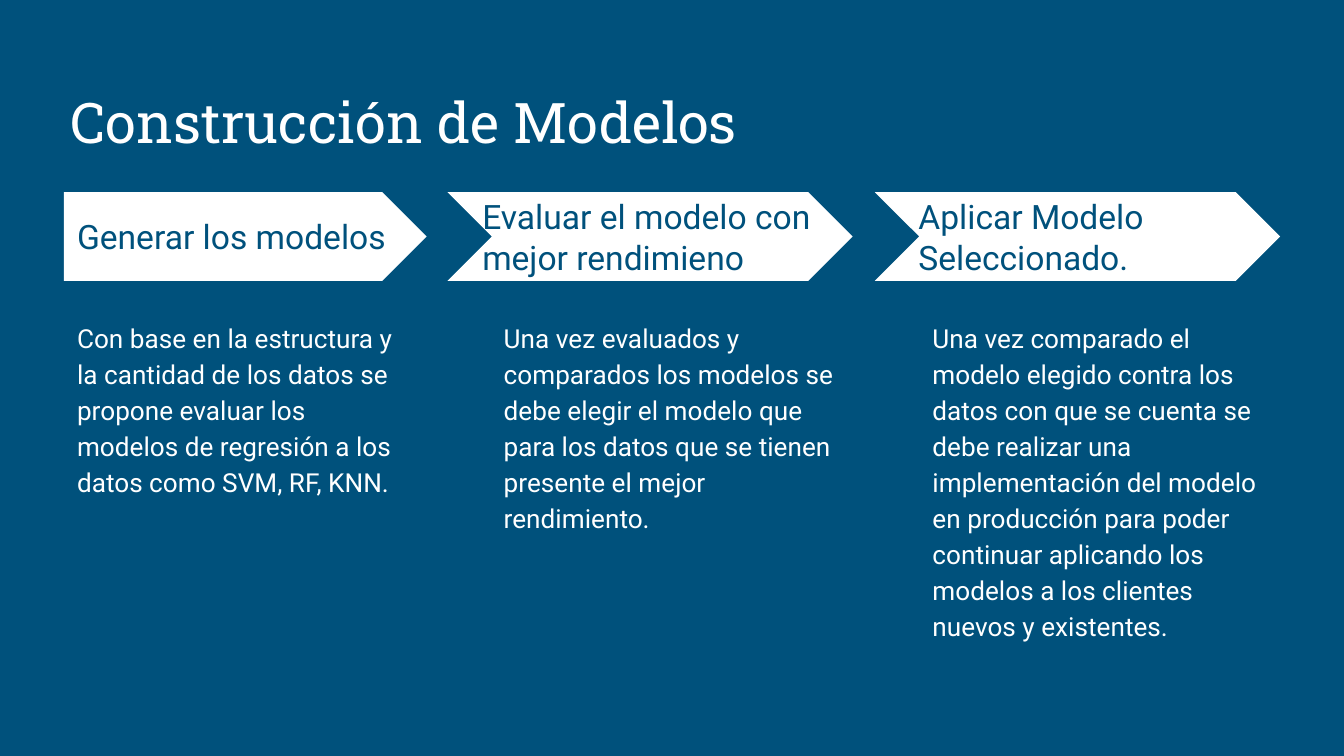
from pptx import Presentation
from pptx.dml.color import RGBColor
from pptx.enum.shapes import MSO_SHAPE
from pptx.enum.text import MSO_ANCHOR, MSO_AUTO_SIZE, PP_ALIGN
from pptx.util import Pt

PENTAGON, CHEVRON = MSO_SHAPE.PENTAGON, MSO_SHAPE.CHEVRON
TOP, MIDDLE, BOTTOM = MSO_ANCHOR.TOP, MSO_ANCHOR.MIDDLE, MSO_ANCHOR.BOTTOM
NO_FIT = MSO_AUTO_SIZE.NONE
LEFT = PP_ALIGN.LEFT

PX = 4572
COLORS = {"blue": "00517C", "white": "FFFFFF"}
HEAD_TOP, HEAD_HIGH = 286, 132
BODY_TOP, BODY_WIDE, BODY_HIGH = 453, 540, 580

STEPS = [
    {
        "kind": PENTAGON, "arrow": (95, 540), "head": (95, 540), "left": 95,
        "title": "Generar los modelos",
        "text": "Con base en la estructura y la cantidad de los datos se propone "
                "evaluar los modelos de regresión a los datos como SVM, RF, KNN.",
    },
    {
        "kind": CHEVRON, "arrow": (666, 603), "head": (698, 560), "left": 730,
        "title": "Evaluar el modelo con mejor rendimieno",
        "text": "Una vez evaluados y comparados los modelos se debe elegir el modelo "
                "que para los datos que se tienen presente el mejor rendimiento.",
    },
    {
        "kind": CHEVRON, "arrow": (1302, 603), "head": (1347, 516), "left": 1368,
        "title": "Aplicar Modelo Seleccionado.",
        "text": "Una vez comparado el modelo elegido contra los datos con que se cuenta "
                "se debe realizar una implementación del modelo en producción para poder "
                "continuar aplicando los modelos a los clientes nuevos y existentes.",
    },
]


def rgb(name):
    return RGBColor.from_string(COLORS[name])


def px(*sizes):
    return [size * PX for size in sizes]


def write(shape, text, size, color="white", font="Roboto", anchor=TOP, space=1.0, after=0):
    frame = shape.text_frame
    frame.word_wrap = True
    frame.auto_size = NO_FIT
    frame.vertical_anchor = anchor
    frame.margin_left = frame.margin_right = 20 * PX
    frame.margin_top = frame.margin_bottom = 20 * PX
    line = frame.paragraphs[0]
    line.alignment = LEFT
    line.line_spacing = space
    line.space_before = Pt(0)
    line.space_after = Pt(after)
    run = line.add_run()
    run.text = text
    run.font.size = Pt(size)
    run.font.name = font
    run.font.color.rgb = rgb(color)


def add_title(slide, text):
    title = slide.shapes.title
    title.left, title.top, title.width, title.height = px(85, 100, 1830, 150)
    write(title, text, 30, font="Roboto Slab", anchor=BOTTOM)


def add_arrow(slide, kind, left, wide):
    arrow = slide.shapes.add_shape(kind, *px(left, HEAD_TOP, wide, HEAD_HIGH))
    arrow.adjustments[0] = 0.5
    arrow.shadow.inherit = False
    arrow.fill.solid()
    arrow.fill.fore_color.rgb = rgb("white")
    arrow.line.fill.background()


def add_text(slide, box, text, size, **style):
    write(slide.shapes.add_textbox(*px(*box)), text, size, **style)


def add_step(slide, step):
    add_arrow(slide, step["kind"], *step["arrow"])
    left, wide = step["head"]
    add_text(slide, (left, HEAD_TOP, wide, HEAD_HIGH), step["title"], 18,
             color="blue", anchor=MIDDLE)
    add_text(slide, (step["left"], BODY_TOP, BODY_WIDE, BODY_HIGH), step["text"], 14,
             space=1.15, after=8)


def main():
    deck = Presentation()
    deck.slide_width, deck.slide_height = px(2000, 1125)
    slide = deck.slides.add_slide(deck.slide_layouts[5])
    slide.background.fill.solid()
    slide.background.fill.fore_color.rgb = rgb("blue")
    add_title(slide, "Construcción de Modelos")
    for step in STEPS:
        add_step(slide, step)
    deck.save("out.pptx")


if __name__ == "__main__":
    main()
